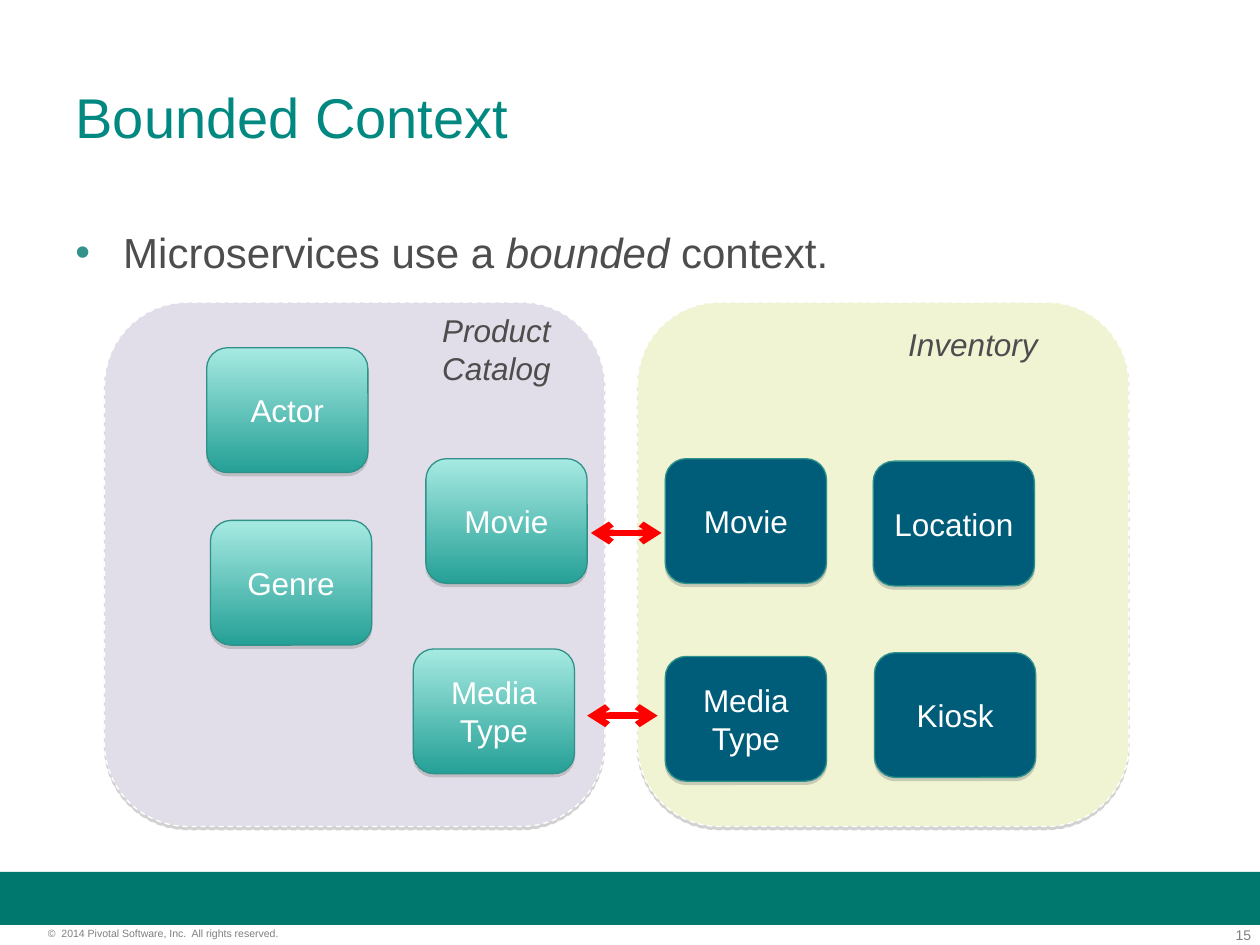
from lxml import etree
from pptx import Presentation
from pptx.dml.color import RGBColor
from pptx.enum.dml import MSO_LINE
from pptx.enum.shapes import MSO_CONNECTOR, MSO_SHAPE
from pptx.enum.text import MSO_ANCHOR, PP_ALIGN
from pptx.oxml.ns import qn
from pptx.util import Inches, Pt

LEFT, CENTER, RIGHT = PP_ALIGN.LEFT, PP_ALIGN.CENTER, PP_ALIGN.RIGHT
MIDDLE, TOP = MSO_ANCHOR.MIDDLE, MSO_ANCHOR.TOP
ROUNDED, RECTANGLE = MSO_SHAPE.ROUNDED_RECTANGLE, MSO_SHAPE.RECTANGLE
STRAIGHT, DASH = MSO_CONNECTOR.STRAIGHT, MSO_LINE.DASH
GRAY, TEAL_LINE, NAVY = "4D4D4D", "2F9189", "005D7A"


def color(hex_string):
    return RGBColor.from_string(hex_string)


def write(shape, runs, size, hex_color, align=LEFT, anchor=TOP, margins=(0.1, 0.05)):
    """Fill a shape with one paragraph of (text, italic) runs."""
    frame = shape.text_frame
    frame.word_wrap = True
    frame.vertical_anchor = anchor
    frame.margin_left = frame.margin_right = Inches(margins[0])
    frame.margin_top = frame.margin_bottom = Inches(margins[1])
    paragraph = frame.paragraphs[0]
    paragraph.alignment = align
    for text, italic in runs:
        run = paragraph.add_run()
        run.text = text
        run.font.name = "Arial"
        run.font.size = Pt(size)
        run.font.italic = italic
        run.font.color.rgb = color(hex_color)


presentation = Presentation()
presentation.slide_width = Inches(10)
presentation.slide_height = Inches(7.5)
slide = presentation.slides.add_slide(presentation.slide_layouts[5])
shapes = slide.shapes

# Footer
band = shapes.add_shape(RECTANGLE, 0, Inches(6.92), Inches(10), Inches(0.42))
band.shadow.inherit = False
band.fill.solid()
band.fill.fore_color.rgb = color("00786E")
band.line.fill.background()
for text, left, top, width, height, size, align in [
    ("15", 9.35, 7.35, 0.58, 0.13, 8, RIGHT),
    ("©  2014 Pivotal Software, Inc.  All rights reserved.", 0.38, 7.36, 2.49, 0.1, 6, LEFT),
]:
    box = shapes.add_textbox(Inches(left), Inches(top), Inches(width), Inches(height))
    write(box, [(text, False)], size, "7F7F7F", align, margins=(0, 0))

# Title and bullet
title = shapes.title
title.left, title.top, title.width, title.height = (
    Inches(0.5), Inches(0.3), Inches(9), Inches(1.25))
write(title, [("Bounded Context", False)], 32, "008881", anchor=MIDDLE)

body = shapes.add_textbox(Inches(0.5), Inches(1.75), Inches(9), Inches(0.65))
properties = body.text_frame.paragraphs[0]._p.get_or_add_pPr()
properties.set("marL", str(Inches(0.38)))
properties.set("indent", str(-Inches(0.38)))
bullet_color = etree.SubElement(properties, qn("a:buClr"))
etree.SubElement(bullet_color, qn("a:srgbClr"), val="33928A")
etree.SubElement(properties, qn("a:buFont"), typeface="Arial")
etree.SubElement(properties, qn("a:buChar"), char="•")
write(body, [("Microservices use a ", False), ("bounded", True), (" context.", False)], 24, GRAY)

# Contexts (no label) and their entities: label, left, top, width, height, fill, line
contexts = [
    ("", 0.83, 2.4, 3.97, 4.16, "E2DEE9", "FFFFFF"),
    ("", 5.06, 2.4, 3.9, 4.16, "F0F4D3", "FFFFFF"),
]
catalog_entities = [("Actor", 1.64, 2.76), ("Movie", 3.38, 3.64),
                    ("Genre", 1.67, 4.13), ("Media Type", 3.28, 5.15)]
inventory_entities = [("Location", 6.93, 3.66), ("Movie", 5.28, 3.64),
                      ("Kiosk", 6.94, 5.18), ("Media Type", 5.28, 5.21)]
entities = [
    (*entity, 1.28, 0.99, fill, TEAL_LINE)
    for group, fill in [(catalog_entities, None), (inventory_entities, NAVY)]
    for entity in group
]
for label, left, top, width, height, fill, line in contexts + entities:
    shape = shapes.add_shape(ROUNDED, Inches(left), Inches(top), Inches(width), Inches(height))
    if fill:
        shape.fill.solid()
        shape.fill.fore_color.rgb = color(fill)
    else:
        shape.fill.gradient()
        shape.fill.gradient_angle = 270
        for stop, stop_color in zip(shape.fill.gradient_stops, ["A6EAE2", "25A096"]):
            stop.color.rgb = color(stop_color)
    shape.line.color.rgb = color(line)
    shape.line.width = Pt(0.75)
    shape.shadow.inherit = False
    effects = shape._element.spPr.find(qn("a:effectLst"))
    shadow = etree.SubElement(effects, qn("a:outerShdw"), blurRad="0",
                              dist=str(Pt(1.8)), dir="5400000", rotWithShape="0")
    shadow_color = etree.SubElement(shadow, qn("a:srgbClr"), val="808080")
    etree.SubElement(shadow_color, qn("a:alpha"), val="35000")
    if label:
        write(shape, [(label, False)], 18, "FFFFFF", CENTER, MIDDLE)
    else:
        shape.line.dash_style = DASH

# Context names
for name, left, top, width, height in [
    ("Product Catalog", 3.41, 2.42, 1.28, 0.7),
    ("Inventory", 7.11, 2.53, 1.42, 0.4),
]:
    box = shapes.add_textbox(Inches(left), Inches(top), Inches(width), Inches(height))
    write(box, [(name, True)], 18, GRAY)

# Double arrows between shared entities
for left, y in [(4.69, 4.23), (4.66, 5.68)]:
    arrow = shapes.add_connector(STRAIGHT, Inches(left), Inches(y), Inches(left + 0.56), Inches(y))
    arrow.line.color.rgb = color("FF0000")
    arrow.line.width = Pt(3.75)
    line_element = arrow.line._get_or_add_ln()
    for end in ("a:headEnd", "a:tailEnd"):
        etree.SubElement(line_element, qn(end), type="arrow")
    etree.SubElement(arrow._element.spPr, qn("a:effectLst"))

presentation.save("out.pptx")
